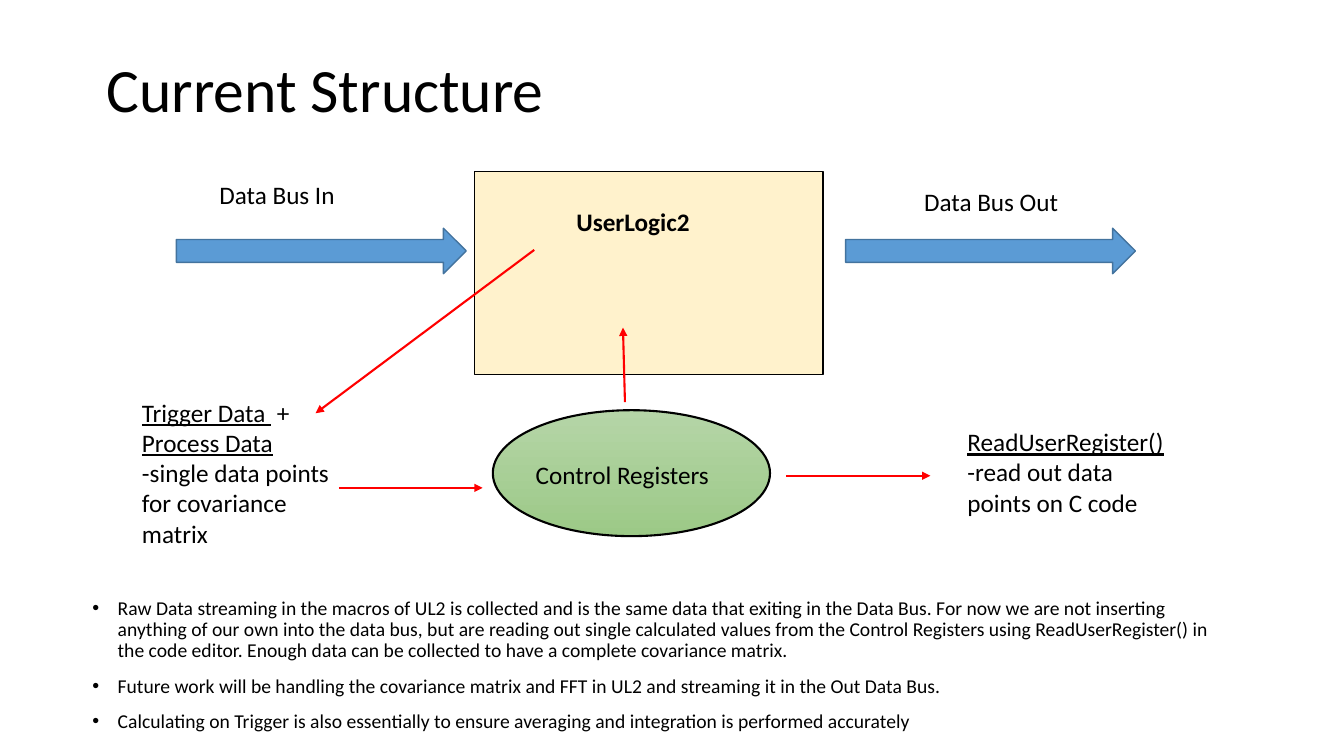
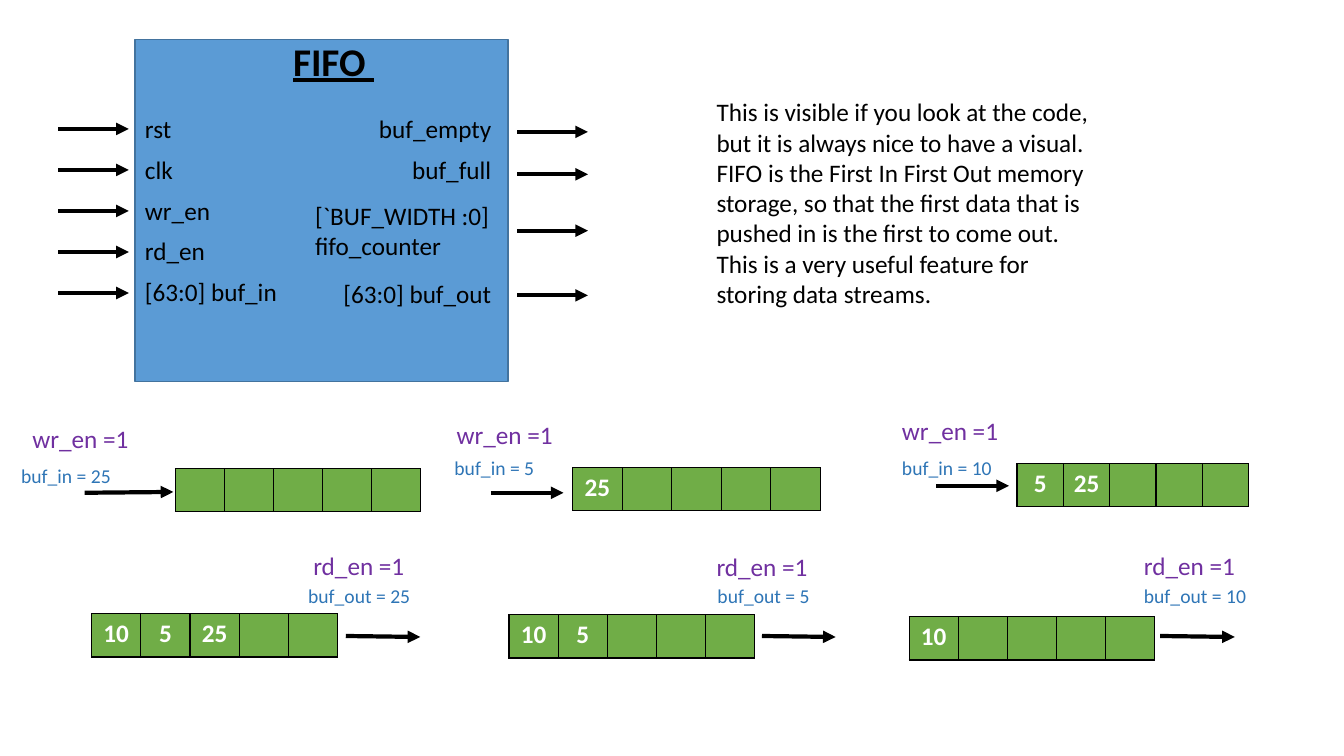
"""Builds two slides on a data path and its FIFO buffer."""
import dataclasses

import lxml.etree
import pptx
import pptx.dml.color
import pptx.enum.shapes
import pptx.enum.text
import pptx.oxml
import pptx.oxml.ns
import pptx.util

Pt = pptx.util.Pt
SHAPE = pptx.enum.shapes.MSO_SHAPE
ALIGN = pptx.enum.text.PP_ALIGN
ANCHOR = pptx.enum.text.MSO_ANCHOR
qn = pptx.oxml.ns.qn

FONT = "Calibri"
COLORS = {
    "text": "000000", "outline": "000000", "white": "FFFFFF",
    "blue": "5B9BD5", "blue_edge": "43739E", "cream": "FFF2CC",
    "green_top": "B5D5A7", "green_bottom": "9CC987", "flow": "FF0000",
    "cell": "70AD47", "signal": "7030A0", "port": "2E75B6",
}
NOTES = [
    "Raw Data streaming in the macros of UL2 is collected and is the same data that exiting in the "
    "Data Bus. For now we are not inserting anything of our own into the data bus, but are reading "
    "out single calculated values from the Control Registers using ReadUserRegister() in the code "
    "editor. Enough data can be collected to have a complete covariance matrix.",
    "Future work will be handling the covariance matrix and FFT in UL2 and streaming it in the "
    "Out Data Bus.",
    "Calculating on Trigger is also essentially to ensure averaging and integration is performed "
    "accurately",
]
FIFO_NOTE = (
    "This is visible if you look at the code, but it is always nice to have a visual. FIFO is the "
    "First In First Out memory storage, so that the first data that is pushed in is the first to "
    "come out. This is a very useful feature for storing data streams."
)


@dataclasses.dataclass
class Stage:
    """One queue state; label and arrow places are offsets from the queue corner."""
    left: float
    top: float
    cell_width: float
    values: list
    signal: str
    signal_offset: tuple
    port: str
    port_offset: tuple
    arrow: tuple


STAGES = [
    Stage(125.3, 334.8, 35, [], "wr_en =1", (-109.3, -36),
          "buf_in = 25", (-117.3, -7.2), (-64.8, 17.2, -1.5, 16.6)),
    Stage(409, 334, 35.4, ["25"], "wr_en =1", (-90, -38),
          "buf_in = 5", (-91.5, -12.2), (-58.4, 18, -6.5, 18)),
    Stage(726.5, 331.2, 33.1, ["5", "25"], "wr_en =1", (-89.3, -38.2),
          "buf_in = 10", (-89.3, -9.4), (-57.6, 15.8, -5.8, 15.8)),
    Stage(65.5, 438.5, 35.1, ["10", "5", "25"], "rd_en =1", (151.2, -49),
          "buf_out = 25", (147.5, -25.2), (181.5, 15.8, 234.7, 16.5)),
    Stage(363.6, 439.2, 35.1, ["10", "5"], "rd_en =1", (141.1, -49),
          "buf_out = 5", (141.8, -25.9), (180.7, 15.1, 233.3, 15.8)),
    Stage(649.4, 440.6, 35.1, ["10"], "rd_en =1", (160.6, -51.1),
          "buf_out = 10", (160.6, -27.3), (179.3, 13.7, 232.6, 14.4)),
]


def rgb(name):
    """Return the named colour."""
    return pptx.dml.color.RGBColor.from_string(COLORS[name])


def format_runs(paragraph, size=18, color="text", bold=False):
    """Set the font of every run in a paragraph."""
    for run in paragraph.runs:
        run.font.name, run.font.size, run.font.bold = FONT, Pt(size), bold
        run.font.color.rgb = rgb(color)


def add_label(shapes, box, paragraphs, align=ALIGN.LEFT, **font):
    """Add a wrapped text box; each paragraph is a list of (text, underlined) runs."""
    frame = shapes.add_textbox(*map(Pt, box)).text_frame
    frame.word_wrap = True
    for index, pieces in enumerate(paragraphs):
        paragraph = frame.add_paragraph() if index else frame.paragraphs[0]
        paragraph.alignment = align
        for text, underlined in pieces:
            run = paragraph.add_run()
            run.text = text
            run.font.underline = underlined
        format_runs(paragraph, **font)
    return frame


def add_plain(shapes, box, text, **style):
    """Add a text box with one plain run."""
    return add_label(shapes, box, [[(text, False)]], **style)


def add_box(shapes, kind, box, fill, edge, weight=1):
    """Add an outlined preset shape, with a vertical gradient if fill is a pair."""
    shape = shapes.add_shape(kind, *map(Pt, box))
    shape.shadow.inherit = False
    if isinstance(fill, tuple):
        shape.fill.gradient()
        shape.fill.gradient_angle = 270
        for stop, name in zip(shape.fill.gradient_stops, fill):
            stop.color.rgb = rgb(name)
    else:
        shape.fill.solid()
        shape.fill.fore_color.rgb = rgb(fill)
    shape.line.color.rgb = rgb(edge)
    shape.line.width = Pt(weight)


def add_arrow(shapes, ends, color="outline", weight=3):
    """Add a straight arrow along (x1, y1, x2, y2)."""
    kind = pptx.enum.shapes.MSO_CONNECTOR.STRAIGHT
    connector = shapes.add_connector(kind, *map(Pt, ends))
    connector.line.color.rgb = rgb(color)
    connector.line.width = Pt(weight)
    properties = connector._element.spPr
    line = properties.find(qn("a:ln"))
    lxml.etree.SubElement(line, qn("a:tailEnd"), type="triangle")
    lxml.etree.SubElement(properties, qn("a:effectLst"))


def add_title(slide, box, text):
    """Add the slide title."""
    frame = add_plain(slide.shapes, box, text, size=44)
    frame.vertical_anchor = ANCHOR.MIDDLE
    frame.paragraphs[0].line_spacing = 0.9


def add_bullets(slide, box, items):
    """Add a bulleted list."""
    frame = add_label(slide.shapes, box, [[(item, False)] for item in items], size=14)
    for index, paragraph in enumerate(frame.paragraphs):
        paragraph.line_spacing = 0.9
        paragraph.space_before = Pt(10 if index else 0)
        properties = paragraph._p.get_or_add_pPr()
        properties.set("marL", str(Pt(18)))
        properties.set("indent", str(Pt(-18)))
        lxml.etree.SubElement(properties, qn("a:buFont"), typeface="Arial")
        lxml.etree.SubElement(properties, qn("a:buChar"), char="•")


def add_data_path(slide, left, top):
    """Place the logic block, its buses and the register flow."""
    shapes = slide.shapes

    def at(x, y, width, height):
        return left + x, top + y, width, height

    add_box(shapes, SHAPE.RECTANGLE, at(213, 0, 249, 145), "cream", "outline")
    for x in (0, 478):
        add_box(shapes, SHAPE.RIGHT_ARROW, at(x, 40.5, 207, 32.5), "blue", "blue_edge")
    add_box(shapes, SHAPE.OVAL, at(226, 170.5, 198, 90),
            ("green_top", "green_bottom"), "outline", 1.5)
    add_plain(shapes, at(278.6, 21.6, 135, 29), "UserLogic2", bold=True)
    add_plain(shapes, at(23.6, 2, 135, 29), "Data Bus In")
    add_plain(shapes, at(527, 7, 135, 29), "Data Bus Out")
    add_plain(shapes, at(249.6, 202, 151, 29), "Control Registers")
    add_label(shapes, at(-31.7, 157.5, 157, 117), [
        [("Trigger Data ", True), (" +", False)],
        [("Process Data", True)],
        [("-single data points for covariance matrix", False)],
    ])
    add_label(shapes, at(558, 178.5, 155.5, 73), [
        [("ReadUserRegister()", True)],
        [("-read out data points on C code", False)],
    ])
    for x1, y1, x2, y2 in [(255.6, 56, 99.4, 172.7), (116, 226, 218.8, 226),
                           (435.6, 217.3, 538.6, 217.3), (320.4, 164.8, 319, 111.5)]:
        add_arrow(shapes, (left + x1, top + y1, left + x2, top + y2), "flow", 1.5)


def add_fifo_block(slide, left, top, width, height):
    """Place the FIFO block as a group with its ports and arrows."""
    shapes = slide.shapes.add_group_shape().shapes
    add_box(shapes, SHAPE.RECTANGLE, (left, top, width, height), "blue", "blue_edge")
    add_label(shapes, (left + 105.8, top - 5, 77, 41), [[("FIFO ", True)]], size=28, bold=True)
    for index, port in enumerate(["rst", "clk", "wr_en", "rd_en", "[63:0] buf_in"]):
        add_plain(shapes, (left, top + 49.7 + 29 * index, 116, 29), port)
        y = top + 64.1 + 29.3 * index
        add_arrow(shapes, (left - 55, y, left - 4.5, y))
    outputs = [
        ("buf_empty", 49.7, 66.2, ALIGN.RIGHT),
        ("buf_full", 78.7, 96.5, ALIGN.RIGHT),
        ("[`BUF_WIDTH :0] fifo_counter", 111.6, 136.8, ALIGN.LEFT),
        ("[63:0] buf_out", 167, 183, ALIGN.RIGHT),
    ]
    for port, text_y, arrow_y, align in outputs:
        add_plain(shapes, (left + 121.5, top + text_y, 140, 29), port, align=align)
        y = top + arrow_y
        add_arrow(shapes, (left + width + 6.5, y, left + width + 57, y))


def add_queue(slide, left, top, cell_width, values, count=5, height=30.8):
    """Add a one-row table of queue cells, filled from the left."""
    box = map(Pt, (left, top, cell_width * count, height))
    table = slide.shapes.add_table(1, count, *box).table
    table.first_row = table.horz_banding = False
    for index in range(count):
        table.columns[index].width = Pt(cell_width)
        cell = table.cell(0, index)
        cell.fill.solid()
        cell.fill.fore_color.rgb = rgb("cell")
        if index < len(values):
            cell.text_frame.text = values[index]
            paragraph = cell.text_frame.paragraphs[0]
            paragraph.alignment = ALIGN.CENTER
            format_runs(paragraph, color="white", bold=True)
        properties = cell._tc.get_or_add_tcPr()
        for position, side in enumerate(("a:lnL", "a:lnR", "a:lnT", "a:lnB")):
            border = lxml.etree.Element(qn(side), w=str(Pt(1)))
            fill = lxml.etree.SubElement(border, qn("a:solidFill"))
            lxml.etree.SubElement(fill, qn("a:srgbClr"), val=COLORS["outline"])
            properties.insert(position, border)


def add_stage(slide, stage):
    """Place a queue with its signal, port value and arrow."""
    left, top = stage.left, stage.top
    add_queue(slide, left, top, stage.cell_width, stage.values)
    x1, y1, x2, y2 = stage.arrow
    add_arrow(slide.shapes, (left + x1, top + y1, left + x2, top + y2))
    x, y = stage.signal_offset
    add_plain(slide.shapes, (left + x, top + y, 84, 29), stage.signal, color="signal")
    x, y = stage.port_offset
    add_plain(slide.shapes, (left + x, top + y, 126, 24), stage.port, size=14, color="port")


def build_structure(slide):
    """Fill the slide on the current structure."""
    add_title(slide, (69, 13.7, 828, 104.4), "Current Structure")
    add_data_path(slide, 126, 122.5)
    add_bullets(slide, (59, 424, 833, 106.6), NOTES)


def build_fifo(slide):
    """Fill the slide on the FIFO."""
    add_fifo_block(slide, 96.5, 28, 266.5, 244.5)
    add_plain(slide.shapes, (504.7, 65.5, 289, 160), FIFO_NOTE)
    for stage in STAGES:
        add_stage(slide, stage)


def main():
    """Build and save the presentation."""
    presentation = pptx.Presentation()
    presentation.slide_width, presentation.slide_height = Pt(960), Pt(540)
    for build in (build_structure, build_fifo):
        build(presentation.slides.add_slide(presentation.slide_layouts[6]))
    presentation.save("out.pptx")


if __name__ == "__main__":
    main()
